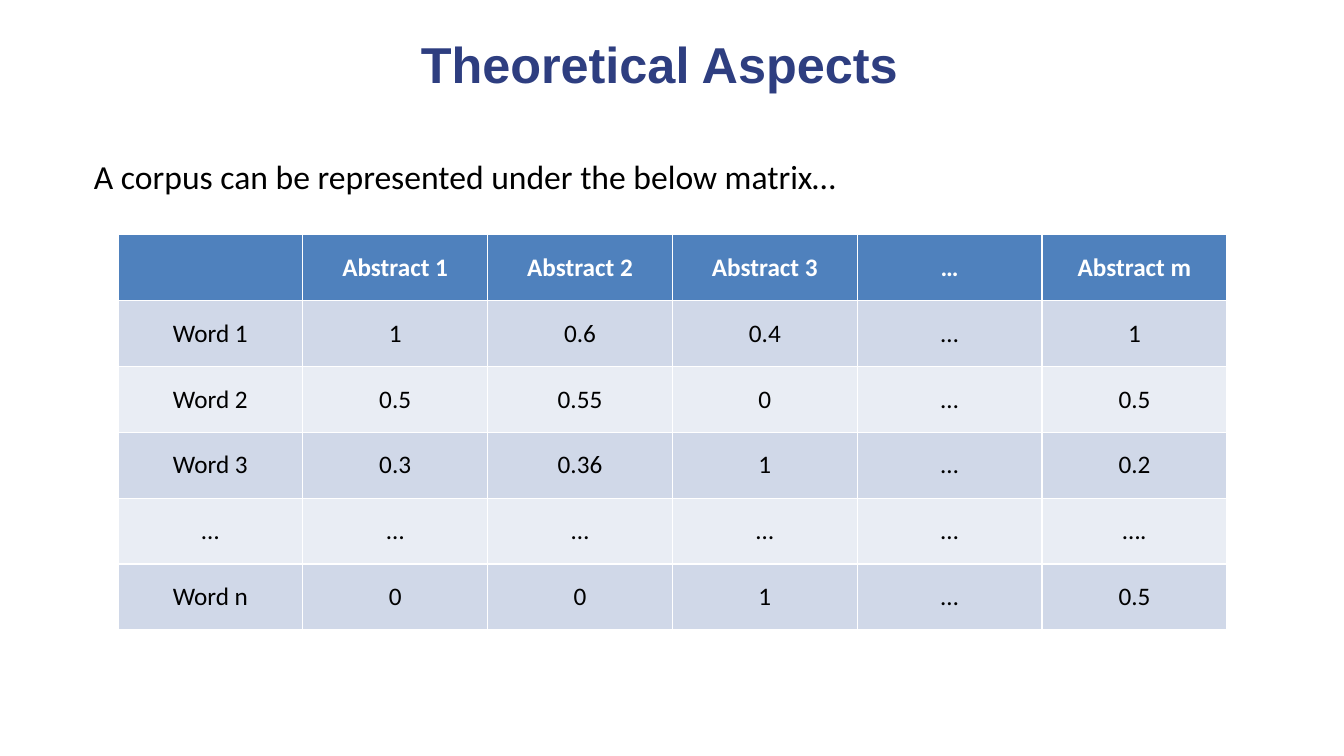
from pptx import Presentation
from pptx import util as u
from pptx.dml.color import RGBColor
from pptx.enum import text as t

NAVY = RGBColor(0x2E, 0x3E, 0x80)
BLUE = RGBColor(0x4F, 0x81, 0xBD)
BAND_DARK = RGBColor(0xD0, 0xD8, 0xE8)
BAND_LIGHT = RGBColor(0xE9, 0xED, 0xF4)
BLACK = RGBColor(0, 0, 0)
WHITE = RGBColor(0xFF, 0xFF, 0xFF)

WIDTH, HEIGHT = u.Inches(13.33), u.Inches(7.5)
COLUMN_WIDTH, ROW_HEIGHT = u.Inches(11 / 6), u.Inches(3.92 / 6)

MATRIX = [
    ["", "Abstract 1", "Abstract 2", "Abstract 3", "…", "Abstract m"],
    ["Word 1", "1", "0.6", "0.4", "…", "1"],
    ["Word 2", "0.5", "0.55", "0", "…", "0.5"],
    ["Word 3", "0.3", "0.36", "1", "…", "0.2"],
    ["…", "…", "…", "…", "…", "…."],
    ["Word n", "0", "0", "1", "…", "0.5"],
]


def write(frame, text, size, color, font="Calibri", bold=False, align=t.PP_ALIGN.CENTER):
    frame.text = text
    para = frame.paragraphs[0]
    para.alignment = align
    for span in para.runs:
        span.font.name = font
        span.font.size = u.Pt(size)
        span.font.bold = bold
        span.font.color.rgb = color


def add_title(page, text):
    title = page.shapes.title
    title.left, title.top = u.Inches(0.58), u.Inches(0.33)
    title.width, title.height = u.Inches(11.92), u.Inches(0.61)
    frame = title.text_frame
    frame.margin_left = frame.margin_right = 0
    frame.margin_top = frame.margin_bottom = 0
    frame.vertical_anchor = t.MSO_ANCHOR.TOP
    frame.auto_size = t.MSO_AUTO_SIZE.NONE
    write(frame, text, 36, NAVY, font="Arial", bold=True)


def add_matrix(page, rows):
    row_count, column_count = len(rows), len(rows[0])
    table = page.shapes.add_table(
        row_count, column_count, u.Inches(1.17), u.Inches(2.33),
        COLUMN_WIDTH * column_count, ROW_HEIGHT * row_count).table
    for row_index, row in enumerate(rows):
        header = row_index == 0
        band = BAND_DARK if row_index % 2 else BAND_LIGHT
        for column_index, text in enumerate(row):
            cell = table.cell(row_index, column_index)
            cell.fill.solid()
            cell.fill.fore_color.rgb = BLUE if header else band
            cell.vertical_anchor = t.MSO_ANCHOR.MIDDLE
            write(cell.text_frame, text, 18, WHITE if header else BLACK, bold=header)


def add_sentence(page, text):
    box = page.shapes.add_textbox(HEIGHT // 9, HEIGHT // 5, u.Inches(9.75), HEIGHT // 15)
    box.text_frame.word_wrap = True
    write(box.text_frame, text, 24, BLACK, align=t.PP_ALIGN.LEFT)


def main():
    deck = Presentation()
    deck.slide_width, deck.slide_height = WIDTH, HEIGHT
    page = deck.slides.add_slide(deck.slide_layouts.get_by_name("Title Only"))
    add_title(page, "Theoretical Aspects")
    add_matrix(page, MATRIX)
    add_sentence(page, "A corpus can be represented under the below matrix…")
    deck.save("out.pptx")


if __name__ == "__main__":
    main()
